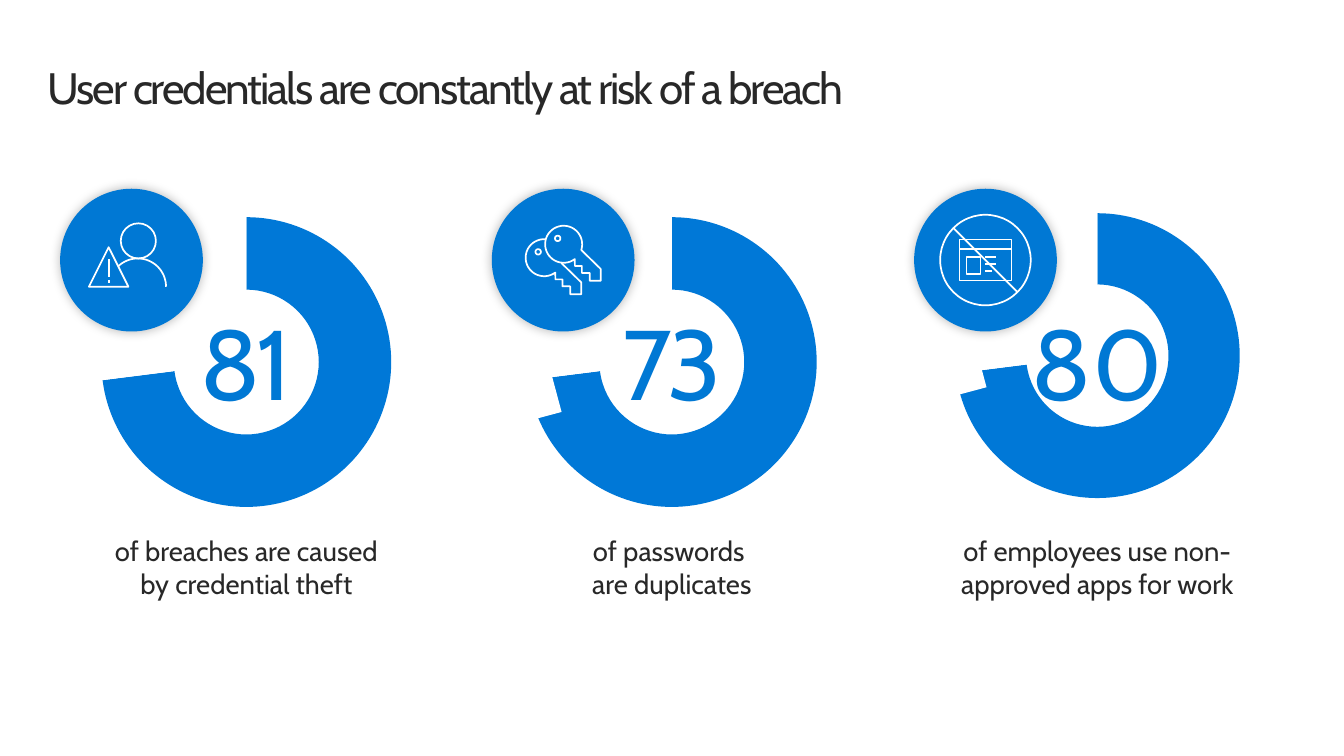
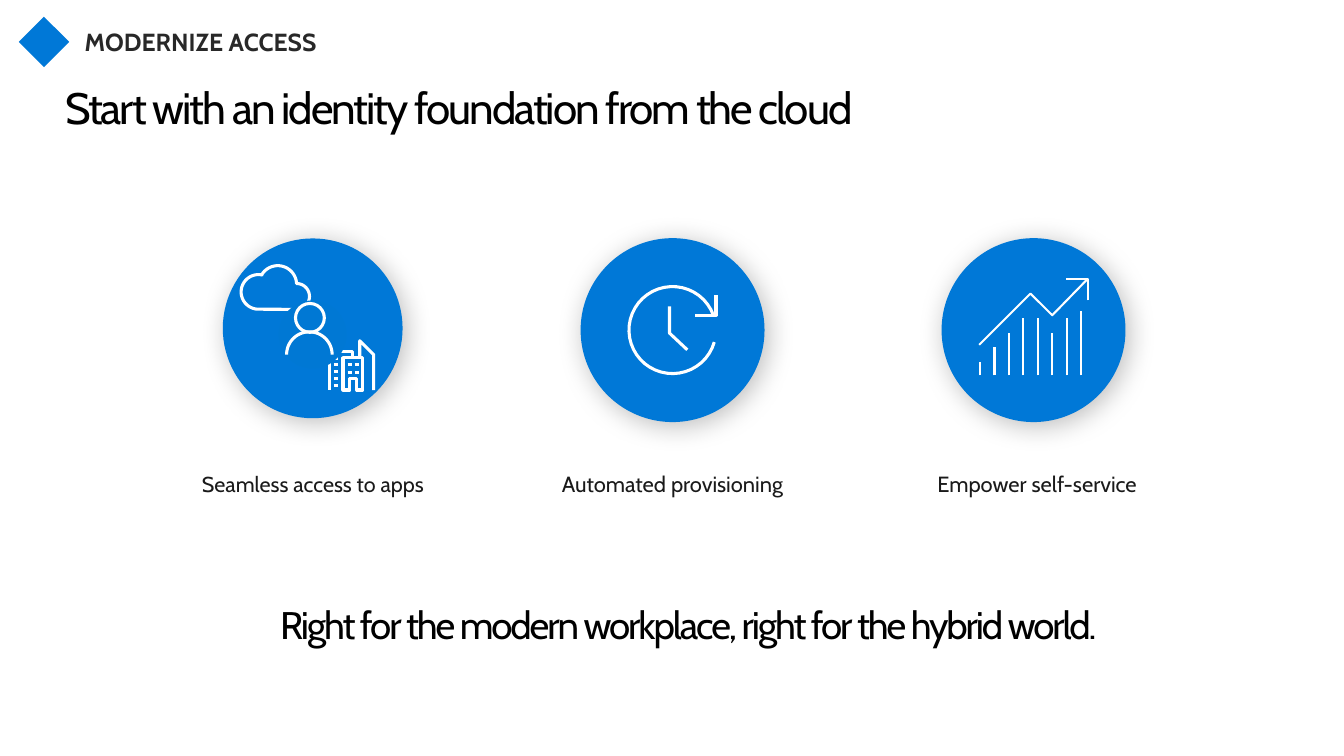
import math

from lxml import etree
from pptx import Presentation
from pptx.chart.data import CategoryChartData
from pptx.dml.color import RGBColor
from pptx.enum.chart import XL_CHART_TYPE
from pptx.enum.shapes import MSO_SHAPE
from pptx.enum.text import MSO_ANCHOR, MSO_AUTO_SIZE, PP_ALIGN
from pptx.oxml import parse_xml
from pptx.oxml.ns import nsdecls, qn
from pptx.util import Pt

DOUGHNUT = XL_CHART_TYPE.DOUGHNUT
OVAL, DIAMOND, RECTANGLE = MSO_SHAPE.OVAL, MSO_SHAPE.DIAMOND, MSO_SHAPE.RECTANGLE
TOP, MIDDLE = MSO_ANCHOR.TOP, MSO_ANCHOR.MIDDLE
LEFT, CENTER = PP_ALIGN.LEFT, PP_ALIGN.CENTER
NO_AUTOFIT = MSO_AUTO_SIZE.NONE
TITLE_ONLY = 5

FONT = "Cabin"
COLORS = {
    "azure": "0078D4",
    "blue": "0078D7",
    "white": "FFFFFF",
    "ink": "282828",
    "label": "1A1A1A",
    "black": "000000",
    "chart text": "505050",
}
RGB = {name: RGBColor.from_string(value) for name, value in COLORS.items()}
TITLE_INSETS = (0, 13, 0, 0)
TITLE_FORMAT = {"size": 32, "spacing": -1.5, "insets": TITLE_INSETS, "line_spacing": 0.9}


def write_text(shape, text, size=20, color="ink", spacing=0, align=LEFT, anchor=TOP,
               insets=(7.2, 3.6, 7.2, 3.6), line_spacing=1.0, bold=False, wrap=True):
    """Fill a shape with one paragraph; text is a string or (text, spacing) pieces."""
    frame = shape.text_frame
    frame.word_wrap = wrap
    frame.auto_size = NO_AUTOFIT
    frame.vertical_anchor = anchor
    frame.margin_left, frame.margin_top, frame.margin_right, frame.margin_bottom = map(Pt, insets)
    para = frame.paragraphs[0]
    para.alignment = align
    para.line_spacing = line_spacing
    pieces = [(text, spacing)] if isinstance(text, str) else text
    for piece, piece_spacing in pieces:
        for number, line in enumerate(piece.split("\n")):
            if number:
                para.add_line_break()
            span = para.add_run()
            span.text = line
            span.font.name = FONT
            span.font.size = Pt(size)
            span.font.bold = bold
            span.font.color.rgb = RGB[color]
            span._r.get_or_add_rPr().set("spc", str(int(piece_spacing * 100)))


def draw_part(shapes, origin, paths, fill=None, width=None):
    """Draw one icon part around origin, in points.

    A path is a circle (x, y, radius) or a list of steps: points (x, y)
    and arcs (x, y, radius, from degrees, to degrees). Filled paths are closed.
    """
    left, top = origin
    parts, outlines = [], []
    for path in paths:
        if not isinstance(path, list):
            x, y, radius = path
            parts.append(shapes.add_shape(OVAL, Pt(left + x - radius), Pt(top + y - radius),
                                          Pt(2 * radius), Pt(2 * radius)))
            continue
        points = []
        for x, y, *arc in path:
            if not arc:
                points.append((x, y))
                continue
            radius, start, end = arc
            for step in range(41):
                angle = math.radians(start + (end - start) * step / 40)
                points.append((x + radius * math.cos(angle), y + radius * math.sin(angle)))
        outlines.append([(Pt(left + x), Pt(top + y)) for x, y in points])
    if outlines:
        builder = shapes.build_freeform(*outlines[0][0], scale=1.0)
        for number, points in enumerate(outlines):
            if number:
                builder.move_to(*points[0])
            builder.add_line_segments(points[1:], close=bool(fill))
        parts.append(builder.convert_to_shape())
    for part in parts:
        part.shadow.inherit = False
        if fill:
            part.fill.solid()
            part.fill.fore_color.rgb = RGB[fill]
        else:
            part.fill.background()
        if width:
            part.line.color.rgb = RGB["white"]
            part.line.width = Pt(width)
        else:
            part.line.fill.background()
    return parts


# Each icon is a list of (paths, fill, line width), in points from its badge's centre.
user_at_risk = [
    ([(5, -14, 12.8), [(4.6, 19.4, 20.6, 180, 360)]], None, 1.25),
    ([[(-31, 19.4), (-16.6, -9.4), (-2.2, 19.4)]], "azure", 1.25),
    ([[(-16.6, -0.7), (-16.6, 12.2)], [(-16.6, 14.4), (-16.6, 16.6)]], None, 1.25),
]
keys = []
for x, y in ((-14.2, 9.8), (0, 0)):
    blade = [(27.4, 6.5), (27.4, 15.1), (19.4, 15.1), (19.4, 9.4),
             (13.7, 9.4), (13.7, 4.3), (8.6, 4.3)]
    bow = (x + 0.4, y - 11.5, 13.5, 53, 378)
    keys.append(([[bow] + [(x + a, y + b) for a, b in blade]], "azure", 1.25))
    keys.append(([(x - 4, y - 15.8, 2)], None, 1.25))
blocked_app = [
    ([[(-19, -15), (19, -15), (19, 15), (-19, 15), (-19, -15)],
      [(-19, -8), (19, -8)],
      [(-13.9, -2.2), (-3.6, -2.2), (-3.6, 10), (-13.9, 10), (-13.9, -2.2)],
      [(0, -2.2), (8, -2.2)], [(0, 2.9), (8, 2.9)], [(0, 8), (5, 8)]], None, 1.25),
    ([(0, 0, 33), [(-23.4, -23.4), (23.4, 23.4)]], None, 1.25),
]
windows = [(15.5, 21.7 + 5 * row) for row in range(5)]
windows += [(x, y) for x in (25.5, 30.5) for y in (26.7, 32)]
user_between_cloud_and_office = [
    ([[(-39.5, -26.5, 12.6, 90, 282), (-25.4, -31.9, 13.7, 212, 357),
       (-11.7, -23.2, 9.4, 270, 450), (-39.5, -13.9)]], None, 2.25),
    ([[(36.5, 21.4), (36.5, 45), (32.2, 45), (32.2, 36.5), (27.1, 36.5),
       (27.1, 45), (22.1, 45), (22.1, 21.4), (36.5, 21.4)],
      [(29.3, 21.4), (29.3, 17.1), (12, 17.1), (12, 45)],
      [(44.4, 45), (44.4, 19.2), (34.3, 9.1), (34.3, 21.4)]]
     + [[(x, y), (x + 3, y)] for x, y in windows], None, 2.25),
    ([(0, 4.5, 24.8)], "azure", None),
    ([(-2, -7.6, 10.5), [(-2.4, 19.2, 16.6, 180, 360)]], None, 2.25),
]
clock = [
    ([[(10.8, 14.4), (-2.2, 2.2), (-2.2, -17.3)],
      [(16.6, -10.8), (31.7, -10.8), (31.7, -25.2)],
      [(0, 0, 31.7, 16, 340)]], None, 2.25),
]
bar_tops = (23, 12.2, 2.2, -8.6, -8.6, 2.2, -8.6, -13.7)
growth = [
    ([[(-38.9 + 10.5 * number, 33), (-38.9 + 10.5 * number, bar_top)]
      for number, bar_top in enumerate(bar_tops)]
     + [[(-39.6, 10.8), (-2.2, -26.6), (13.7, -10.8), (39.6, -37.4)],
        [(39.6, -21.6), (39.6, -37.4), (23.8, -37.4)]], None, 1.5),
]

deck = Presentation()
deck.slide_width, deck.slide_height = Pt(979.2), Pt(550.8)

pages = []
for text, color, place in (
    ("User credentials are constantly at risk of a breach", "ink", (34.5, 35.3, 911, 60)),
    ("Start with an identity foundation from the cloud", "black", (47.5, 49.7, 885, 44.6)),
):
    page = deck.slides.add_slide(deck.slide_layouts[TITLE_ONLY])
    title = page.shapes.title
    title.left, title.top, title.width, title.height = map(Pt, place)
    write_text(title, text, color=color, **TITLE_FORMAT)
    pages.append(page)
risk_page, access_page = pages

# Three doughnuts with a number in the hole and a label below
statistics = [
    ([("81", -3)], "of breaches are caused by credential theft"),
    ([("73", -3)], "of passwords \nare duplicates"),
    ([("8", -3), ("0", 0)], "of employees use non-approved apps for work"),
]
for column, (number, label) in enumerate(statistics):
    center = 179.5 + 310 * column
    data = CategoryChartData()
    data.categories = ["1", "2"]
    data.add_series("Series 1", (73, 27))
    chart = risk_page.shapes.add_chart(DOUGHNUT, Pt(center - 173), Pt(148.3),
                                       Pt(346), Pt(231), data).chart
    chart.has_title = False
    chart.has_legend = False
    chart.font.name = FONT
    chart.font.size = Pt(12)
    chart.font.color.rgb = RGB["chart text"]
    plot = chart.plots[0]
    plot.has_data_labels = False
    plot.vary_by_categories = True
    for index, color in enumerate(("blue", "white")):
        point = plot.series[0].points[index]
        point.format.fill.solid()
        point.format.fill.fore_color.rgb = RGB[color]
        point.format.line.fill.background()
    chart_xml = chart._chartSpace
    chart_xml.find(".//" + qn("c:holeSize")).set("val", "89")
    if column == 2:
        plot_area = chart_xml.find(".//" + qn("c:plotArea"))
        for old_layout in plot_area.findall(qn("c:layout")):
            plot_area.remove(old_layout)
        layout = etree.Element(qn("c:layout"))
        manual = etree.SubElement(layout, qn("c:manualLayout"))
        for tag, value in (("layoutTarget", "inner"), ("xMode", "edge"), ("yMode", "edge"),
                           ("x", "0.2"), ("y", "0.03"), ("w", "0.6"), ("h", "0.9")):
            etree.SubElement(manual, qn("c:" + tag)).set("val", value)
        plot_area.insert(0, layout)

    box = risk_page.shapes.add_textbox(Pt(center - 54), Pt(220), Pt(108), Pt(87))
    write_text(box, number, size=72, color="azure", align=CENTER, insets=(0, 0, 0, 0),
               wrap=False)
    box = risk_page.shapes.add_textbox(Pt(center - 112.5), Pt(385.3), Pt(225), Pt(56.5))
    write_text(box, label, align=CENTER)

# Round badges: page, centre, radius, colour, icon, shadow (opacity %, blur, distance)
soft, dropped = (27, 8, 0), (25, 20, 4)
badges = [
    (risk_page, (95.8, 189.5), 52, "azure", user_at_risk, soft),
    (risk_page, (410.3, 189.5), 52, "azure", keys, soft),
    (risk_page, (718, 189.5), 52, "azure", blocked_app, soft),
    (access_page, (227.8, 239.2), 65.5, "blue", user_between_cloud_and_office, dropped),
    (access_page, (490, 240.5), 67, "blue", clock, dropped),
    (access_page, (753, 240.5), 67, "blue", growth, dropped),
]
for page, center, radius, color, icon, (opacity, blur, distance) in badges:
    group = page.shapes.add_group_shape()
    disc = draw_part(group.shapes, center, [(0, 0, radius)], fill=color)[0]
    disc._element.spPr.find(qn("a:effectLst")).append(parse_xml(
        f'<a:outerShdw {nsdecls("a")} blurRad="{Pt(blur)}" dist="{Pt(distance)}" '
        f'dir="2700000" algn="ctr" rotWithShape="0"><a:srgbClr val="{COLORS["black"]}">'
        f'<a:alpha val="{opacity * 1000}"/></a:srgbClr></a:outerShdw>'))
    for paths, fill, width in icon:
        draw_part(group.shapes, center, paths, fill, width)

# White tiles that shorten the second and third rings
for left, top in ((369.4, 271.4), (679, 253.4)):
    tile = risk_page.shapes.add_shape(RECTANGLE, Pt(left), Pt(top), Pt(36), Pt(34))
    tile.rotation = 345
    tile.shadow.inherit = False
    tile.fill.solid()
    tile.fill.fore_color.rgb = RGB["white"]
    tile.line.fill.background()

# Labels, closing line and section heading of the access page
for center, label, size in ((228, "Seamless access to apps", 15.7),
                            (490, "Automated provisioning", 16),
                            (755.6, "Empower self-service", 16)):
    box = access_page.shapes.add_textbox(Pt(center - 120), Pt(341.3), Pt(240), Pt(25))
    write_text(box, label, size=size, color="label", align=CENTER, anchor=MIDDLE,
               line_spacing=0.9)

closing = access_page.shapes.add_textbox(Pt(107.3), Pt(428.4), Pt(788.4), Pt(44.6))
write_text(closing, "Right for the modern workplace, right for the hybrid world.", size=28,
           color="black", spacing=-1.5, align=CENTER, insets=TITLE_INSETS, line_spacing=0.9)

heading = access_page.shapes.add_textbox(Pt(41), Pt(10.8), Pt(210.2), Pt(43.2))
write_text(heading, "MODERNIZE ACCESS", size=18, align=CENTER, bold=True,
           insets=(14.4, 11.5, 14.4, 11.5), line_spacing=0.9)

emblem = access_page.shapes.add_shape(DIAMOND, Pt(13.7), Pt(12.2), Pt(36.7), Pt(36.7))
emblem.shadow.inherit = False
emblem.fill.solid()
emblem.fill.fore_color.rgb = RGB["blue"]
emblem.line.fill.background()

deck.save("out.pptx")
